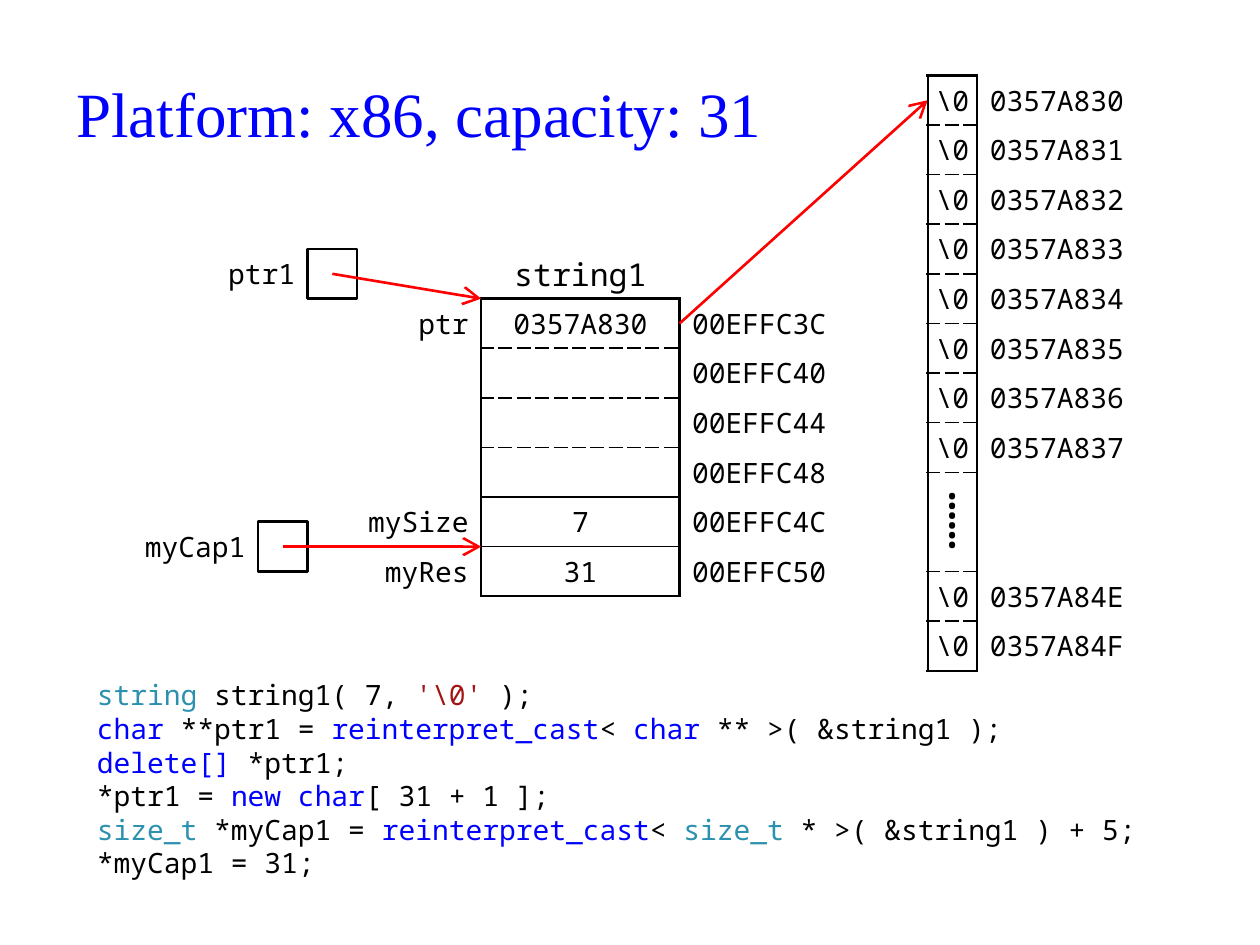
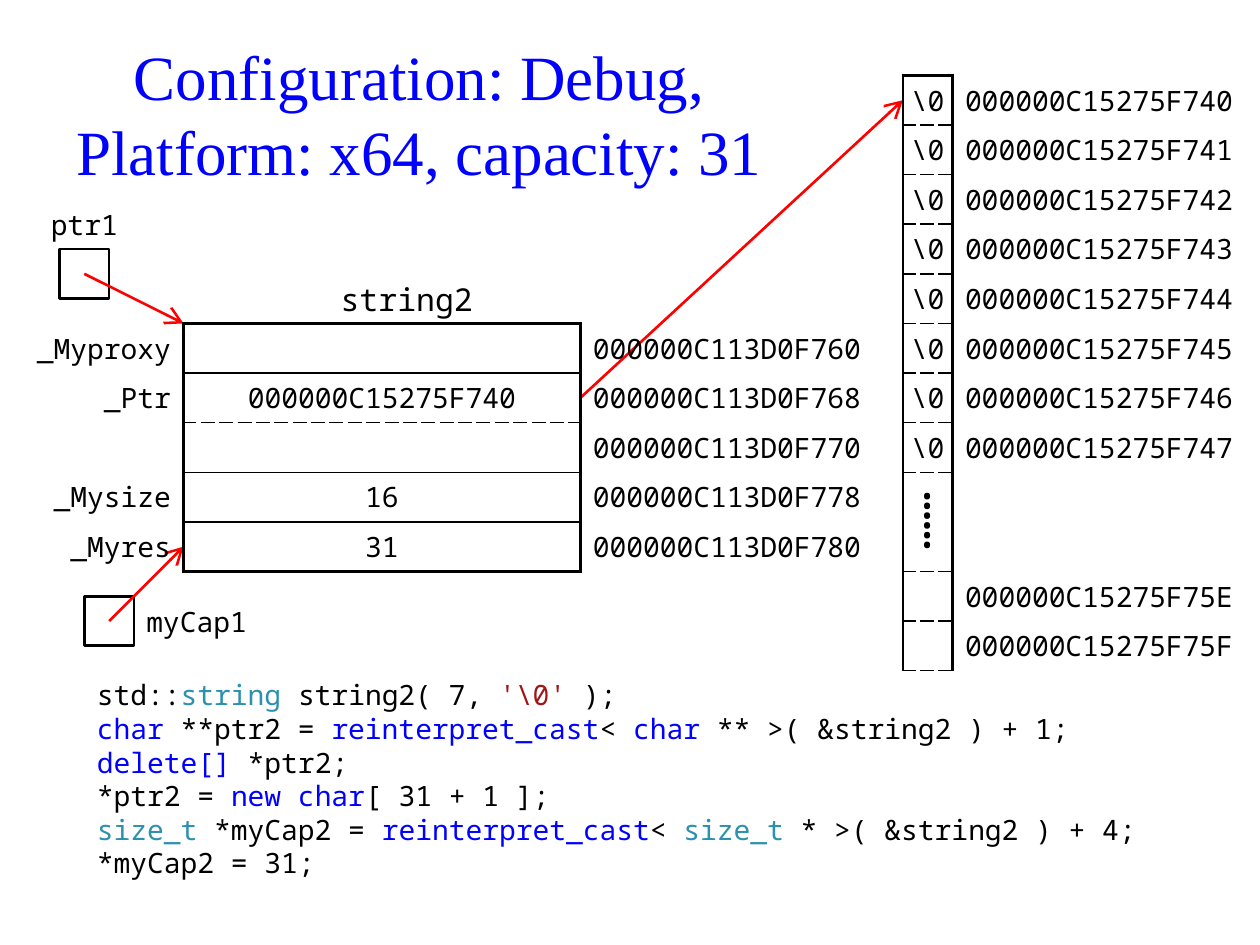
from lxml.etree import SubElement
from pptx import Presentation
from pptx.dml.color import RGBColor
from pptx.enum.shapes import MSO_CONNECTOR, MSO_SHAPE
from pptx.enum.text import MSO_ANCHOR as Anchor, MSO_AUTO_SIZE as AutoSize, PP_ALIGN as Align
from pptx.oxml import parse_xml
from pptx.oxml.ns import nsdecls, qn
from pptx.util import Inches, Pt

PX = 7200
ROW = 50
COLORS = {"text": "000000", "keyword": "0000FF", "type": "2B91AF", "literal": "A31515",
          "arrow": "FF0000"}
CODE_FONT, TITLE_FONT = "Noto Sans Mono", "Times New Roman"
NO_STYLE = "{2D5ABB26-0587-4C30-8999-92F81FD0307C}"
EDGES = {"O": (1.5, "solid"), "T": (1, "solid"), "D": (1, "sysDash")}
GAP = "⸽"


def px(*lengths):
    """Turn px lengths into EMU."""
    return [length * PX for length in lengths]


def color(name):
    """Return the named colour."""
    return RGBColor.from_string(COLORS[name])


def format_font(font, size=16, name=CODE_FONT, color_name="text"):
    """Set size, typeface and colour of a font."""
    font.size, font.name = Pt(size), name
    font.color.rgb = color(color_name)


def place(shape, left, top, width, height):
    """Move and resize a placeholder."""
    shape.left, shape.top, shape.width, shape.height = px(left, top, width, height)


def add_title(slide, text):
    """Fill and format the title placeholder."""
    title = slide.shapes.title
    place(title, 60, 51, 725, 125)
    frame = title.text_frame
    frame.text = text
    frame.auto_size, frame.word_wrap = AutoSize.NONE, True
    frame.vertical_anchor = Anchor.MIDDLE
    frame.margin_left = frame.margin_right = 0
    paragraph = frame.paragraphs[0]
    paragraph.alignment = Align.CENTER
    format_font(paragraph.font, 36, TITLE_FONT, "keyword")


def code_lines(number, prefix, pointer_offset, capacity_offset):
    """Return the program as lines of (text, colour name) runs."""
    def cast(kind, kind_color, stars, offset):
        return [("reinterpret_cast", "keyword"), ("< ", "text"), (kind, kind_color),
                (f" {stars} >( &string{number} ){offset};", "text")]

    return [
        prefix + [("string ", "type"), (f"string{number}( 7, ", "text"),
                  ("'\\0'", "literal"), (" );", "text")],
        [("char ", "keyword"), (f"**ptr{number} = ", "text")]
        + cast("char", "keyword", "**", pointer_offset),
        [("delete[]", "keyword"), (f" *ptr{number};", "text")],
        [(f"*ptr{number} = ", "text"), ("new char", "keyword"), ("[ 31 + 1 ];", "text")],
        [("size_t ", "type"), (f"*myCap{number} = ", "text")]
        + cast("size_t", "type", "*", capacity_offset),
        [(f"*myCap{number} = 31;", "text")],
    ]


def add_code(slide, lines):
    """Fill the body placeholder with coloured code."""
    body = slide.placeholders[1]
    place(body, 85, 677, 1100, 225)
    frame = body.text_frame
    frame.auto_size, frame.word_wrap = AutoSize.NONE, True
    for index, line in enumerate(lines):
        paragraph = frame.add_paragraph() if index else frame.paragraphs[0]
        paragraph.line_spacing, paragraph.space_before = Pt(19.2), Pt(0)
        properties = paragraph._p.get_or_add_pPr()
        properties.set("marL", "0")
        properties.set("indent", "0")
        SubElement(properties, qn("a:buNone"))
        paragraph.font.size, paragraph.font.name = Pt(16), CODE_FONT
        for text, color_name in line:
            run = paragraph.add_run()
            run.text = text
            run.font.color.rgb = color(color_name)


def add_label(slide, left, top, width, text, align, size=16, anchor=Anchor.MIDDLE):
    """Add a one-line label, one row high, inset only on its aligned side."""
    frame = slide.shapes.add_textbox(*px(left, top, width, ROW)).text_frame
    frame.word_wrap, frame.vertical_anchor = False, anchor
    frame.margin_left = Inches(0.1) if align == Align.LEFT else 0
    frame.margin_right = Inches(0.1) if align == Align.RIGHT else 0
    paragraph = frame.paragraphs[0]
    paragraph.text, paragraph.alignment = text, align
    format_font(paragraph.font, size)


def add_arrow(slide, start, end):
    """Draw a red arrow between two points."""
    arrow = slide.shapes.add_connector(MSO_CONNECTOR.STRAIGHT, *px(*start, *end))
    arrow.line.color.rgb, arrow.line.width = color("arrow"), Pt(1.5)
    SubElement(arrow.line._get_or_add_ln(), qn("a:tailEnd"), type="arrow", w="lg", len="lg")
    SubElement(arrow._element.spPr, qn("a:effectLst"))


def add_pointer(slide, left, top, text, label_box, align, target):
    """Draw a pointer variable: square, label beside it and arrow to its target."""
    square = slide.shapes.add_shape(MSO_SHAPE.RECTANGLE, *px(left, top, ROW, ROW))
    square.shadow.inherit = False
    square.fill.background()
    square.line.color.rgb, square.line.width = color("text"), Pt(1.5)
    offset_x, offset_y, width = label_box
    add_label(slide, left + offset_x, top + offset_y, width, text, align)
    add_arrow(slide, (left + ROW // 2, top + ROW // 2), target)


def set_borders(cell, **sides):
    """Draw the given cell sides (L, R, T, B) with edge codes."""
    properties = cell._tc.get_or_add_tcPr()
    drawn = [(side, EDGES[code]) for side, code in sides.items() if code in EDGES]
    for position, (side, (width, dash)) in enumerate(drawn):
        properties.insert(position, parse_xml(
            f'<a:ln{side} {nsdecls("a")} w="{Pt(width)}"><a:solidFill>'
            f'<a:srgbClr val="{COLORS["text"]}"/></a:solidFill>'
            f'<a:prstDash val="{dash}"/></a:ln{side}>'))


def add_grid(slide, left, top, widths, rows, aligns, framed, edges):
    """Add a memory table whose framed column has the given row edges."""
    shape = slide.shapes.add_table(len(rows), len(widths),
                                   *px(left, top, sum(widths), ROW * len(rows)))
    table = shape.table
    table.first_row = table.horz_banding = False
    table._tbl.tblPr.find(qn("a:tableStyleId")).text = NO_STYLE
    for column, width in zip(table.columns, widths):
        column.width = width * PX
    for row_index, row in enumerate(rows):
        table.rows[row_index].height = ROW * PX
        for column_index, text in enumerate(row):
            cell = table.cell(row_index, column_index)
            cell.fill.background()
            cell.vertical_anchor = Anchor.MIDDLE
            cell.margin_top = cell.margin_bottom = 0
            cell.margin_left = cell.margin_right = 0 if column_index == framed else Inches(0.1)
            paragraph = cell.text_frame.paragraphs[0]
            paragraph.alignment = aligns[column_index]
            if text:
                paragraph.text = text
            format_font(paragraph.font, *((28, TITLE_FONT) if text == GAP else ()))
            if column_index == framed:
                set_borders(cell, L="O", R="O", T=edges[row_index], B=edges[row_index + 1])
    return table


def addresses(first, digits, offsets):
    """Return hexadecimal addresses at the offsets from the first one."""
    return [f"{first + offset:0{digits}X}" for offset in offsets]


def add_buffer(slide, left, top, first, digits, address_width, last_value, last_edge):
    """Add the 32-byte character buffer with its addresses."""
    cells = addresses(first, digits, [*range(8), 30, 31])
    rows = [("\\0", address) for address in cells[:8]] + [(GAP, ""), ("", "")]
    rows += [(last_value, address) for address in cells[8:]]
    edges = "O" + "D" * 8 + "N" + "DD" + last_edge
    table = add_grid(slide, left, top, (ROW, address_width), rows,
                     (Align.CENTER, Align.LEFT), 0, edges)
    table.cell(8, 0).merge(table.cell(9, 0))


def add_string(slide, left, top, widths, members, first, digits, step, edges):
    """Add the string object: member names, values and addresses."""
    cells = addresses(first, digits, range(0, step * len(members), step))
    rows = [(*member, address) for member, address in zip(members, cells)]
    add_grid(slide, left, top, widths, rows, (Align.RIGHT, Align.CENTER, Align.LEFT), 1, edges)


def add_slide(presentation, title, lines):
    """Add a slide with its title and code."""
    slide = presentation.slides.add_slide(presentation.slide_layouts[1])
    add_title(slide, title)
    add_code(slide, lines)
    return slide


def build_x86(presentation):
    """Build the slide for the 32-bit layout."""
    slide = add_slide(presentation, "Platform: x86, capacity: 31",
                      code_lines(1, [], "", " + 5"))
    members = [("ptr", "0357A830"), *[("", "")] * 3, ("mySize", "7"), ("myRes", "31")]
    add_string(slide, 310, 301, (175, 200, 175), members, 0x00EFFC3C, 8, 4, "ODDDTTO")
    add_label(slide, 485, 251, 200, "string1", Align.CENTER, 18, Anchor.TOP)
    add_arrow(slide, (685, 326), (935, 101))
    add_buffer(slide, 935, 76, 0x0357A830, 8, 175, "\\0", "O")
    add_pointer(slide, 310, 251, "ptr1", (-100, 0, 100), Align.RIGHT, (485, 301))
    add_pointer(slide, 260, 526, "myCap1", (-125, 0, 125), Align.RIGHT, (485, 551))


def build_x64(presentation):
    """Build the slide for the 64-bit debug layout."""
    slide = add_slide(presentation, "Configuration: Debug,\vPlatform: x64, capacity: 31",
                      code_lines(2, [("std::", "text")], " + 1", " + 4"))
    add_arrow(slide, (585, 401), (910, 101))
    add_buffer(slide, 910, 76, 0xC15275F740, 16, 300, "", "D")
    add_pointer(slide, 60, 251, "ptr1", (-25, -ROW, 100), Align.CENTER, (185, 326))
    add_pointer(slide, 85, 601, "myCap1", (ROW, 0, 150), Align.LEFT, (185, 551))
    add_label(slide, 310, 276, 200, "string2", Align.CENTER, 18, Anchor.TOP)
    members = [("_Myproxy", ""), ("_Ptr", "000000C15275F740"), ("", ""),
               ("_Mysize", "16"), ("_Myres", "31")]
    add_string(slide, 10, 326, (175, 400, 300), members, 0xC113D0F760, 16, 8, "OTDTTO")


def main():
    """Build and save the presentation."""
    presentation = Presentation()
    presentation.slide_width, presentation.slide_height = Inches(10), Inches(7.5)
    build_x86(presentation)
    build_x64(presentation)
    presentation.save("out.pptx")


if __name__ == "__main__":
    main()
